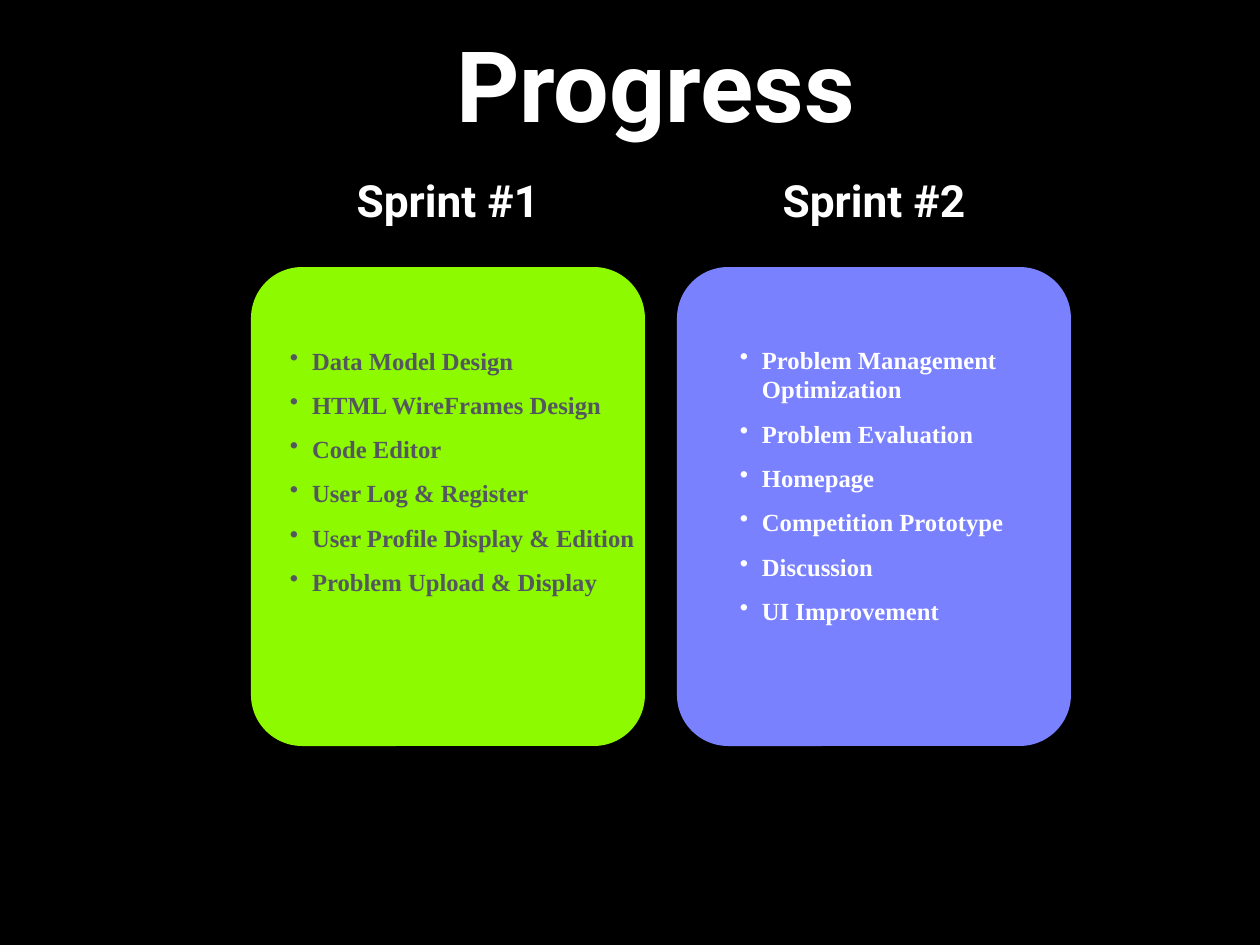
from dataclasses import dataclass
from typing import NamedTuple

from pptx import Presentation
from pptx.dml.color import RGBColor
from pptx.enum.shapes import MSO_SHAPE as Shape
from pptx.enum.text import MSO_ANCHOR as Anchor, MSO_AUTO_SIZE as AutoSize, PP_ALIGN as Align
from pptx.oxml.xmlchemy import OxmlElement
from pptx.slide import Slide
from pptx.util import Emu, Pt

EMU_PER_PIXEL = 10321
BULLET_INDENT = 22
TEXT_INSET = 5


class Box(NamedTuple):
    """Hold a rectangle in pixels."""

    left: int
    top: int
    width: int
    height: int


@dataclass(frozen=True)
class Theme:
    """Hold the colours, fonts and type sizes."""

    background: str = "000000"
    light: str = "FFFFFF"
    dark: str = "53585F"
    green: str = "8EFA00"
    violet: str = "7A81FF"
    heading_font: str = "Roboto"
    body_font: str = "Times New Roman"
    title_size: int = 80
    heading_size: int = 36
    body_size: int = 20
    item_gap: int = 12


@dataclass(frozen=True)
class Sprint:
    """Describe one sprint card."""

    heading: str
    left: int
    fill: str
    text_color: str
    list_box: Box
    wrap: bool
    items: tuple[str, ...]


THEME = Theme()
SPRINTS = (
    Sprint("Sprint #1", 251, THEME.green, THEME.dark, Box(285, 341, 360, 260), False, (
        "Data Model Design", "HTML WireFrames Design", "Code Editor",
        "User Log & Register", "User Profile Display & Edition", "Problem Upload & Display",
    )),
    Sprint("Sprint #2", 677, THEME.violet, THEME.light, Box(735, 317, 311, 336), True, (
        "Problem Management Optimization", "Problem Evaluation", "Homepage",
        "Competition Prototype", "Discussion", "UI Improvement",
    )),
)


def px(pixels: int) -> Emu:
    """Convert pixels to EMU."""
    return Emu(pixels * EMU_PER_PIXEL)


def emu_box(box: Box) -> tuple[Emu, ...]:
    """Convert a pixel box to EMU lengths."""
    return tuple(px(length) for length in box)


def add_bullet(paragraph) -> None:
    """Give a paragraph a hanging bullet."""
    properties = paragraph._p.get_or_add_pPr()
    properties.set("marL", str(px(BULLET_INDENT)))
    properties.set("indent", str(-px(BULLET_INDENT)))
    bullet = OxmlElement("a:buChar")
    bullet.set("char", "•")
    properties.append(bullet)


def add_text(slide: Slide, box: Box, *lines: str, font: str, size: int, color: str,
             align: Align = Align.CENTER, inset: int = TEXT_INSET, wrap: bool = False,
             grow: bool = True, bullets: bool = False) -> None:
    """Add a bold, vertically centred text box."""
    frame = slide.shapes.add_textbox(*emu_box(box)).text_frame
    frame.word_wrap = wrap
    frame.auto_size = AutoSize.SHAPE_TO_FIT_TEXT if grow else AutoSize.NONE
    frame.vertical_anchor = Anchor.MIDDLE
    frame.margin_left = frame.margin_right = px(inset)
    frame.margin_top = frame.margin_bottom = px(inset)
    frame.text = "\n".join(lines)
    for paragraph in frame.paragraphs:
        paragraph.alignment = align
        if bullets:
            paragraph.space_before = Pt(THEME.item_gap)
            add_bullet(paragraph)
        for run in paragraph.runs:
            run.font.name = font
            run.font.size = Pt(size)
            run.font.bold = True
            run.font.color.rgb = RGBColor.from_string(color)


def add_card(slide: Slide, box: Box, fill: str) -> None:
    """Add a rounded card without outline."""
    shape = slide.shapes.add_shape(Shape.ROUNDED_RECTANGLE, *emu_box(box))
    shape.adjustments[0] = 0.13
    shape.shadow.inherit = False
    shape.fill.solid()
    shape.fill.fore_color.rgb = RGBColor.from_string(fill)
    shape.line.fill.background()


def add_sprint(slide: Slide, sprint: Sprint) -> None:
    """Add a sprint's card, heading and list."""
    add_card(slide, Box(sprint.left, 267, 394, 479), sprint.fill)
    add_text(slide, Box(sprint.left + 97, 168, 200, 63), sprint.heading,
             font=THEME.heading_font, size=THEME.heading_size, color=THEME.light)
    add_text(slide, sprint.list_box, *sprint.items, font=THEME.body_font,
             size=THEME.body_size, color=sprint.text_color, align=Align.LEFT,
             wrap=sprint.wrap, bullets=True)


def main() -> None:
    """Build and save the progress slide."""
    presentation = Presentation()
    presentation.slide_width, presentation.slide_height = px(1260), px(945)
    slide = presentation.slides.add_slide(presentation.slide_layouts[6])
    slide.background.fill.solid()
    slide.background.fill.fore_color.rgb = RGBColor.from_string(THEME.background)
    for sprint in SPRINTS:
        add_sprint(slide, sprint)
    add_text(slide, Box(118, -21, 1076, 209), "Progress", font=THEME.heading_font,
             size=THEME.title_size, color=THEME.light, inset=0, wrap=True, grow=False)
    presentation.save("out.pptx")


main()
